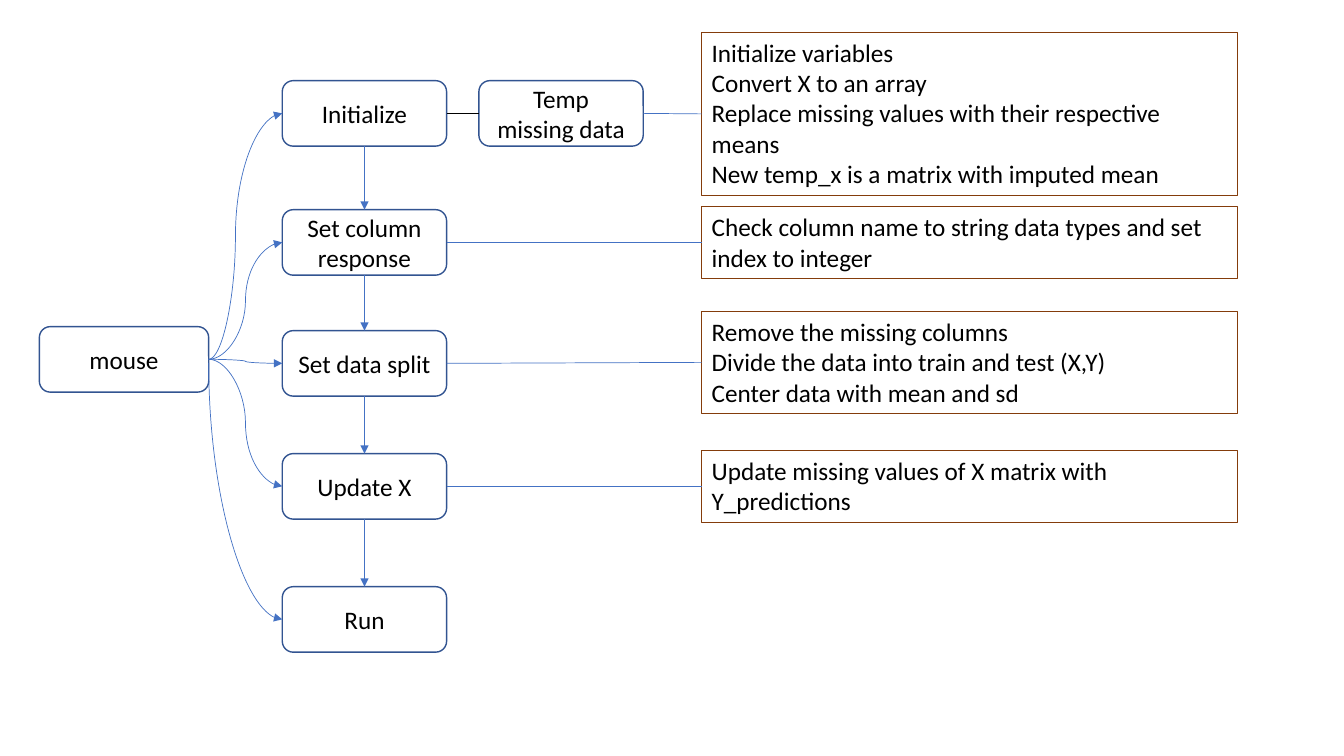
from dataclasses import dataclass

from lxml import etree
from pptx import Presentation
from pptx.dml.color import RGBColor
from pptx.enum.shapes import MSO_CONNECTOR, MSO_SHAPE
from pptx.enum.text import MSO_ANCHOR, MSO_AUTO_SIZE, PP_ALIGN
from pptx.oxml.ns import qn
from pptx.shapes.autoshape import Shape
from pptx.shapes.connector import Connector
from pptx.util import Inches, Pt

ROUND, RECT = MSO_SHAPE.ROUNDED_RECTANGLE, MSO_SHAPE.RECTANGLE
LINE, CURVE = MSO_CONNECTOR.STRAIGHT, MSO_CONNECTOR.CURVE
TOP, LEFT, BOTTOM, RIGHT = range(4)
COLORS = {"text": "000000", "fill": "FFFFFF", "box": "325491",
          "note": "843C0B", "link": "4472C4"}
FONT = {"name": "Calibri", "size": Pt(18)}
BOX = {"vertical_anchor": MSO_ANCHOR.MIDDLE, "word_wrap": True}
NOTE = {"vertical_anchor": MSO_ANCHOR.TOP, "word_wrap": True,
        "auto_size": MSO_AUTO_SIZE.SHAPE_TO_FIT_TEXT}
BOX_H, STEP_W, STEP_X, TEMP_X = 0.65, 1.63, 2.8, 4.75
NOTE_X, NOTE_W = 6.96, 5.31


@dataclass
class Step:
    """One step of the flow, with the top of its box."""
    text: str
    top: float


@dataclass
class Note:
    """Text that explains one step."""
    top: float
    height: float
    lines: list[str]


STEPS = [Step("Initialize", 0.8), Step("Set column response", 2.08),
         Step("Set data split", 3.28), Step("Update X", 4.5),
         Step("Run", 5.82)]
NOTES = [
    Note(0.32, 1.62, ["Initialize variables", "Convert X to an array",
                      "Replace missing values with their respective means",
                      "New temp_x is a matrix with imputed mean"]),
    Note(2.05, 0.71, ["Check column name to string data types and set "
                      "index to integer"]),
    Note(3.09, 1.01, ["Remove the missing columns",
                      "Divide the data into train and test (X,Y)",
                      "Center data with mean and sd"]),
    Note(4.47, 0.71, ["Update missing values of X matrix with "
                      "Y_predictions"]),
]
BENDS = [36400, 50000, 50000, 50000]


def color(name: str) -> RGBColor:
    """Look up a colour by its role."""
    return RGBColor.from_string(COLORS[name])


def apply(target: object, values: dict) -> None:
    """Set attributes from a dict."""
    for key, value in values.items():
        setattr(target, key, value)


def write(shape: Shape, lines: list[str], align: PP_ALIGN) -> None:
    """Fill a shape with one paragraph per line."""
    frame = shape.text_frame
    frame.text = "\n".join(lines)
    for para in frame.paragraphs:
        para.alignment = align
        apply(para.font, FONT)
        para.font.color.rgb = color("text")


def add_box(text: str, left: float, top: float, width: float) -> Shape:
    """Draw a rounded box with centred text."""
    shape = slide.shapes.add_shape(ROUND, Inches(left), Inches(top),
                                   Inches(width), Inches(BOX_H))
    shape.shadow.inherit = False
    shape.fill.solid()
    shape.fill.fore_color.rgb = color("fill")
    shape.line.color.rgb = color("box")
    shape.line.width = Pt(1)
    write(shape, [text], PP_ALIGN.CENTER)
    apply(shape.text_frame, BOX)
    return shape


def add_note(note: Note) -> Shape:
    """Draw an outlined note with text from the left."""
    shape = slide.shapes.add_shape(RECT, Inches(NOTE_X), Inches(note.top),
                                   Inches(NOTE_W), Inches(note.height))
    shape.shadow.inherit = False
    shape.fill.background()
    shape.line.color.rgb = color("note")
    shape.line.width = Pt(0.75)
    write(shape, note.lines, PP_ALIGN.LEFT)
    apply(shape.text_frame, NOTE)
    return shape


def add_link(kind: MSO_CONNECTOR, start: tuple[float, float],
             end: tuple[float, float], tone: str = "link",
             arrow: bool = True) -> Connector:
    """Draw a thin connector, with an arrowhead if asked."""
    points = [Inches(value) for value in (*start, *end)]
    link = slide.shapes.add_connector(kind, *points)
    link.line.color.rgb = color(tone)
    link.line.width = Pt(0.5)
    if arrow:
        etree.SubElement(link.line._get_or_add_ln(), qn("a:tailEnd"),
                         type="triangle")
    etree.SubElement(link._element.spPr, qn("a:effectLst"))
    return link


def glue(link: Connector, first: Shape, out: int,
         last: Shape, into: int) -> None:
    """Tie both ends of a connector to shapes."""
    link.begin_connect(first, out)
    link.end_connect(last, into)


def bend(link: Connector, share: int) -> None:
    """Set where a curve turns, in thousandths of a percent."""
    guides = link._element.spPr.find(qn("a:prstGeom")).get_or_add_avLst()
    etree.SubElement(guides, qn("a:gd"), name="adj1", fmla=f"val {share}")


def add_arc(start: tuple[float, float], end: tuple[float, float]) -> None:
    """Draw a quarter curve that leaves downward and arrives rightward."""
    mid_x, mid_y = (start[0] + end[0]) / 2, (start[1] + end[1]) / 2
    half_w, half_h = (end[1] - start[1]) / 2, (end[0] - start[0]) / 2
    link = add_link(CURVE, (mid_x + half_w, mid_y - half_h),
                    (mid_x - half_w, mid_y + half_h))
    props = link._element.spPr
    props.find(qn("a:xfrm")).set("rot", str(270 * 60000))
    props.find(qn("a:prstGeom")).set("prst", "curvedConnector2")


deck = Presentation()
deck.slide_width, deck.slide_height = Inches(13.33), Inches(7.5)
slide = deck.slides.add_slide(deck.slide_layouts[6])

mouse = add_box("mouse", 0.39, 3.24, 1.68)
boxes = [add_box(step.text, STEP_X, step.top, STEP_W) for step in STEPS]
temp = add_box("Temp missing data", TEMP_X, STEPS[0].top, STEP_W)
notes = [add_note(note) for note in NOTES]

hub = (2.07, 3.56)
mids = [step.top + BOX_H / 2 for step in STEPS]
for box, mid, share in zip(boxes, mids, BENDS):
    curve = add_link(CURVE, hub, (STEP_X, mid))
    glue(curve, mouse, RIGHT, box, LEFT)
    bend(curve, share)
add_arc((2.07, 3.6), (STEP_X, mids[-1]))

axis = STEP_X + STEP_W / 2
for upper, lower, step, after in zip(boxes, boxes[1:], STEPS, STEPS[1:]):
    link = add_link(LINE, (axis, step.top + BOX_H), (axis, after.top))
    glue(link, upper, BOTTOM, lower, TOP)

edge = STEP_X + STEP_W
link = add_link(LINE, (edge, mids[0]), (TEMP_X, mids[0]), "text", False)
glue(link, boxes[0], RIGHT, temp, LEFT)
for source, note, mid in zip([temp, *boxes[1:]], notes, mids):
    start = (source.left + source.width) / Inches(1)
    link = add_link(LINE, (start, mid), (NOTE_X, mid), arrow=False)
    glue(link, source, RIGHT, note, LEFT)

deck.save("out.pptx")
